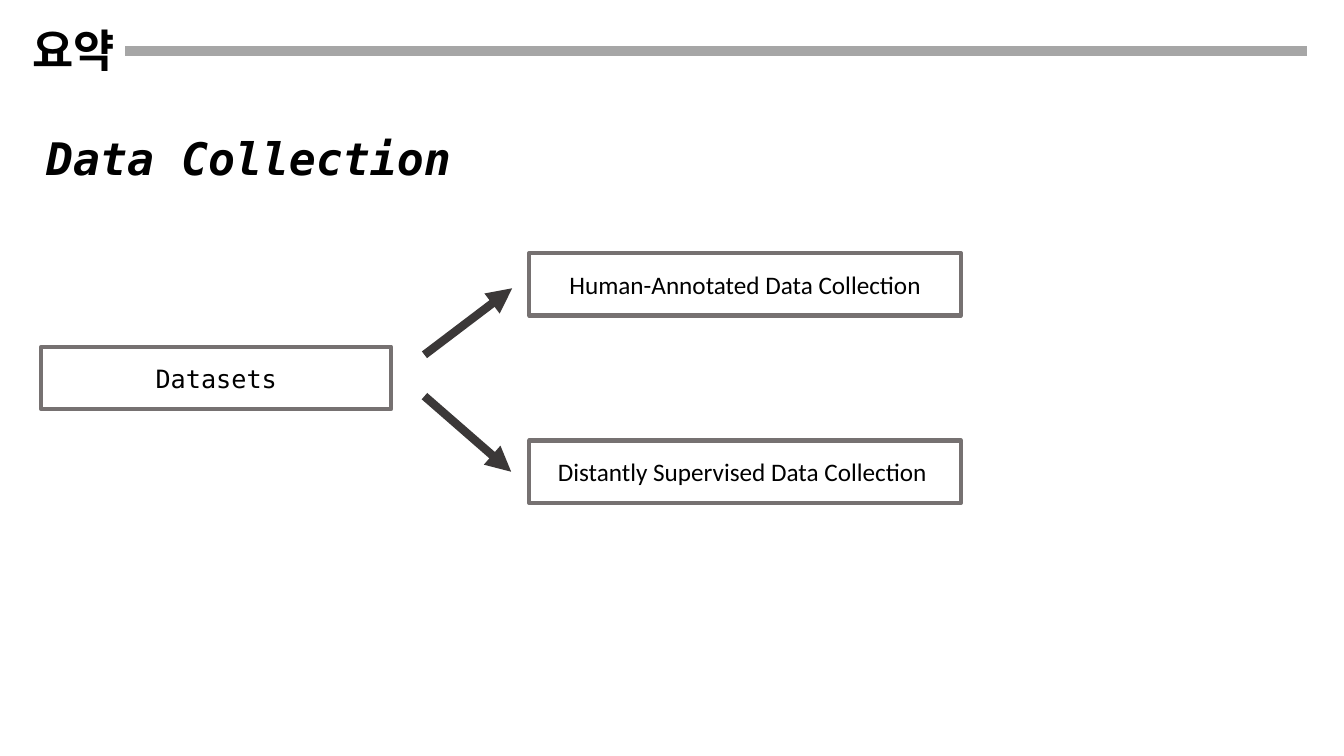
from lxml.etree import SubElement
from pptx import Presentation
from pptx.dml.color import RGBColor
from pptx.enum.shapes import MSO_CONNECTOR as CONN, MSO_SHAPE as SHAPE
from pptx.enum.text import MSO_ANCHOR as ANCHOR, PP_ALIGN as ALIGN
from pptx.oxml.ns import qn
from pptx.util import Pt

PX = 9144
COLORS = {"text": "000000", "rule": "A6A6A6", "border": "767171", "arrow": "3B3838"}
MONO, SANS, HEAD = "DejaVu Sans Mono", "Calibri", "Lato"


def px(*values):
    """Turn px lengths into EMU."""
    return [v * PX for v in values]


def color(name):
    """Look up a colour by its role."""
    return RGBColor.from_string(COLORS[name])


def write(s, text, font, size, anchor, align, bold=False, italic=False):
    """Set and format the single paragraph of a shape."""
    tf = s.text_frame
    tf.text = text
    tf.word_wrap = True
    tf.vertical_anchor = anchor
    p = tf.paragraphs[0]
    p.alignment = align
    r = p.runs[0]
    r.font.name, r.font.size = font, Pt(size)
    r.font.bold, r.font.italic = bold, italic
    r.font.color.rgb = color("text")
    return p


def add_line(slide, start, end, role, width, arrow=False):
    """Draw a straight line, with an optional arrowhead at its end."""
    s = slide.shapes.add_connector(CONN.STRAIGHT, *px(*start, *end))
    s.line.color.rgb = color(role)
    s.line.width = Pt(width)
    if arrow:
        SubElement(s.line._get_or_add_ln(), qn("a:tailEnd"), type="triangle")
    SubElement(s._element.spPr, qn("a:effectLst"))


def add_header(slide, x, y, w, h):
    """Place the title and the rule that runs to the right of it."""
    s = slide.shapes.title
    s.left, s.top, s.width, s.height = px(x, y, 182, h)
    p = write(s, "요약", HEAD, 32, ANCHOR.MIDDLE, ALIGN.LEFT, bold=True)
    p.line_spacing = 0.9
    rule_y = y + 41
    add_line(slide, (x + 102, rule_y), (x + w, rule_y), "rule", 7)


def add_heading(slide, x, y, w, h):
    """Place the section heading."""
    s = slide.shapes.add_textbox(*px(x, y, w, h))
    p = write(s, "Data Collection", MONO, 32, ANCHOR.TOP, ALIGN.LEFT, True, True)
    p.line_spacing = 0.9
    p.space_before = Pt(10)


def add_box(slide, x, y, w, h, text, font):
    """Place an outlined box with centred text."""
    s = slide.shapes.add_shape(SHAPE.RECTANGLE, *px(x, y, w, h))
    s.shadow.inherit = False
    s.fill.background()
    s.line.color.rgb = color("border")
    s.line.width = Pt(3)
    write(s, text, font, 18, ANCHOR.MIDDLE, ALIGN.CENTER)


def add_diagram(slide, x, y, w, h):
    """Place the datasets box, its two kinds and the arrows to them."""
    box_h, kind_w = 62, 428
    kind_x = x + w - kind_w
    add_box(slide, x, y + (h - box_h) // 2, 347, box_h, "Datasets", MONO)
    kinds = ["Human-Annotated Data Collection", "Distantly Supervised Data Collection "]
    for i, text in enumerate(kinds):
        add_box(slide, kind_x, y + i * (h - box_h), kind_w, box_h, text, SANS)
    for start_y, end_x, end_y in [(101, 467, 35), (142, 466, 217)]:
        add_line(slide, (x + 380, y + start_y), (x + end_x, y + end_y), "arrow", 6, True)


def main():
    """Build and save the slide."""
    prs = Presentation()
    prs.slide_width, prs.slide_height = px(1333, 750)
    slide = prs.slides.add_slide(prs.slide_layouts[5])
    add_header(slide, 22, 10, 1274, 85)
    add_heading(slide, 36, 131, 787, 83)
    add_diagram(slide, 41, 251, 912, 248)
    prs.save("out.pptx")


if __name__ == "__main__":
    main()
